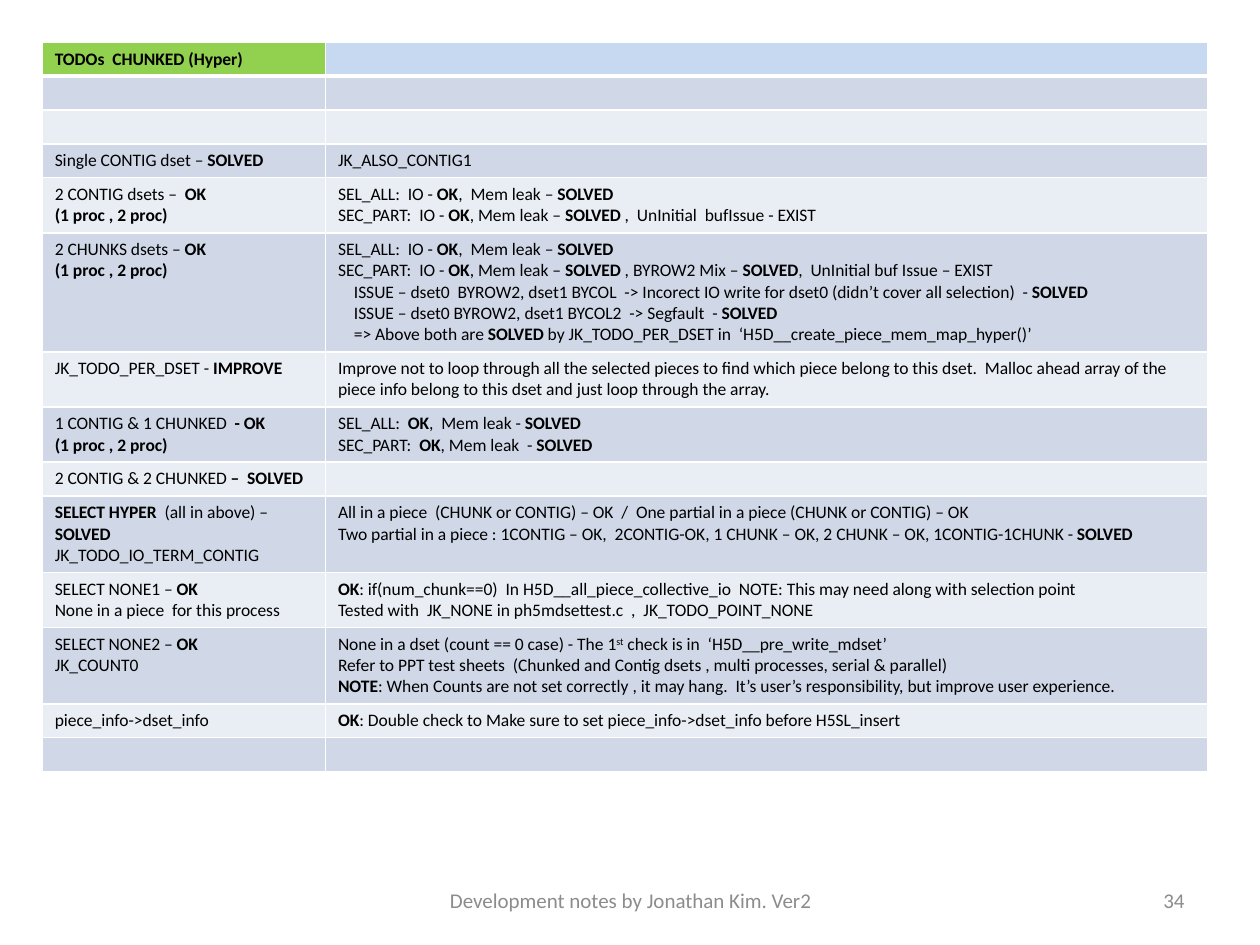
from dataclasses import dataclass

from lxml.etree import SubElement
from pptx import Presentation
from pptx.dml.color import RGBColor
from pptx.enum.text import MSO_ANCHOR, PP_ALIGN
from pptx.oxml.ns import qn
from pptx.util import Cm, Pt

COLORS = {
    "text": "000000",
    "footer": "8C8C8C",
    "border": "FFFFFF",
    "topic_head": "92D050",
    "notes_head": "C6D9F1",
    "band_dark": "D0D8E8",
    "band_light": "E9EDF4",
}
FONT = "Calibri"
COLUMN_WIDTHS = (5.71, 17.78)
LINE_HEIGHT = 0.43
ROW_PADDING = 0.25
INDENT = 0.32


@dataclass(frozen=True)
class Todo:
    """One row; *...* is bold, ^...^ is superscript, a leading > indents."""

    topic: str = ""
    notes: str = ""
    lines: int = 1


@dataclass(frozen=True)
class Footer:
    """A text in the bottom margin, with lengths in centimetres."""

    text: str
    left: float
    width: float
    align: PP_ALIGN


TODOS = [
    Todo("*TODOs  CHUNKED (Hyper)*"),
    Todo(),
    Todo(),
    Todo("Single CONTIG dset – *SOLVED*", "JK_ALSO_CONTIG1"),
    Todo(
        "2 CONTIG dsets –  *OK*\n*(1 proc , 2 proc)*",
        "SEL_ALL:  IO - *OK*,  Mem leak – *SOLVED*\n"
        "SEC_PART:  IO - *OK*, Mem leak – *SOLVED* ,  UnInitial  bufIssue - EXIST",
        2,
    ),
    Todo(
        "2 CHUNKS dsets – *OK*\n*(1 proc , 2 proc)*",
        "SEL_ALL:  IO - *OK*,  Mem leak – *SOLVED*\n"
        "SEC_PART:  IO - *OK*, Mem leak – *SOLVED* , BYROW2 Mix – *SOLVED*,"
        "  UnInitial buf Issue – EXIST\n"
        ">ISSUE – dset0  BYROW2, dset1 BYCOL  -> Incorect IO write for dset0"
        " (didn’t cover all selection)  - *SOLVED*\n"
        ">ISSUE – dset0 BYROW2, dset1 BYCOL2  -> Segfault  - *SOLVED*\n"
        ">=> Above both are *SOLVED* by JK_TODO_PER_DSET in"
        "  ‘H5D__create_piece_mem_map_hyper()’",
        5,
    ),
    Todo(
        "JK_TODO_PER_DSET - *IMPROVE*",
        "Improve not to loop through all the selected pieces to find which piece"
        " belong to this dset.  Malloc ahead array of the piece info belong to this"
        " dset and just loop through the array.",
        2,
    ),
    Todo(
        "1 CONTIG & 1 CHUNKED * - OK*\n*(1 proc , 2 proc)*",
        "SEL_ALL:  *OK*,  Mem leak - *SOLVED*\nSEC_PART:  *OK*, Mem leak  - *SOLVED*",
        2,
    ),
    Todo("2 CONTIG & 2 CHUNKED *–  SOLVED*"),
    Todo(
        "*SELECT HYPER*  (all in above) –  *SOLVED*\nJK_TODO_IO_TERM_CONTIG",
        "All in a piece  (CHUNK or CONTIG) – OK  /  One partial in a piece"
        " (CHUNK or CONTIG) – OK\n"
        "Two partial in a piece : 1CONTIG – OK,  2CONTIG-OK, 1 CHUNK – OK,"
        " 2 CHUNK – OK, 1CONTIG-1CHUNK - *SOLVED*",
        3,
    ),
    Todo(
        "SELECT NONE1 – *OK*\nNone in a piece  for this process",
        "*OK*: if(num_chunk==0)  In H5D__all_piece_collective_io  NOTE: This may"
        " need along with selection point\n"
        "Tested with  JK_NONE in ph5mdsettest.c  ,  JK_TODO_POINT_NONE",
        2,
    ),
    Todo(
        "SELECT NONE2 – *OK*\nJK_COUNT0",
        "None in a dset (count == 0 case) - The 1^st^ check is in"
        "  ‘H5D__pre_write_mdset’\n"
        "Refer to PPT test sheets  (Chunked and Contig dsets , multi processes,"
        " serial & parallel)\n"
        "*NOTE*: When Counts are not set correctly , it may hang.  It’s user’s"
        " responsibility, but improve user experience.",
        3,
    ),
    Todo(
        "piece_info->dset_info",
        "*OK*: Double check to Make sure to set piece_info->dset_info before H5SL_insert",
    ),
    Todo(),
]

FOOTERS = [
    Footer("Development notes by Jonathan Kim. Ver2", 8.69, 8.05, PP_ALIGN.CENTER),
    Footer("34", 18.21, 5.92, PP_ALIGN.RIGHT),
]


def style_font(font, size: float, color: str) -> None:
    """Set family, size and colour."""
    font.name = FONT
    font.size = Pt(size)
    font.color.rgb = RGBColor.from_string(COLORS[color])


def write_line(paragraph, line: str) -> None:
    """Write one marked-up line as formatted runs."""
    if line.startswith(">"):
        paragraph._p.get_or_add_pPr().set("marL", str(Cm(INDENT)))
        line = line[1:]
    for bold_index, section in enumerate(line.split("*")):
        for raised_index, words in enumerate(section.split("^")):
            if words:
                run = paragraph.add_run()
                run.text = words
                style_font(run.font, 10, "text")
                run.font.bold = bold_index % 2 == 1
                if raised_index % 2:
                    run.font._element.set("baseline", "30000")
    if not line:
        SubElement(paragraph._p, qn("a:endParaRPr"), sz="1000")


def draw_borders(cell, top: float, bottom: float) -> None:
    """Draw the four cell borders, with widths in points."""
    properties = cell._tc.get_or_add_tcPr()
    for side, width in (("L", 1), ("R", 1), ("T", top), ("B", bottom)):
        border = SubElement(properties, qn(f"a:ln{side}"), w=str(Pt(width)))
        fill = SubElement(border, qn("a:solidFill"))
        SubElement(fill, qn("a:srgbClr"), val=COLORS["border"])


def fill_cell(cell, text: str, row: int, color: str) -> None:
    """Give a cell its borders, fill and text."""
    draw_borders(cell, 3 if row == 1 else 1, 3 if row == 0 else 1)
    cell.fill.solid()
    cell.fill.fore_color.rgb = RGBColor.from_string(COLORS[color])
    for index, line in enumerate(text.split("\n")):
        frame = cell.text_frame
        write_line(frame.add_paragraph() if index else frame.paragraphs[0], line)


def add_todos(slide, todos: list[Todo]) -> None:
    """Add the banded table of tasks."""
    heights = [ROW_PADDING + LINE_HEIGHT * todo.lines for todo in todos]
    table = slide.shapes.add_table(
        len(todos), len(COLUMN_WIDTHS), Cm(0.85), Cm(0.85),
        Cm(sum(COLUMN_WIDTHS)), Cm(sum(heights)),
    ).table
    for column, width in zip(table.columns, COLUMN_WIDTHS):
        column.width = Cm(width)
    for row, (todo, height) in enumerate(zip(todos, heights)):
        table.rows[row].height = Cm(height)
        band = "band_dark" if row % 2 else "band_light"
        fills = (band, band) if row else ("topic_head", "notes_head")
        for column, text in enumerate((todo.topic, todo.notes)):
            fill_cell(table.cell(row, column), text, row, fills[column])


def add_footer(slide, footer: Footer) -> None:
    """Add one footer text."""
    frame = slide.shapes.add_textbox(
        Cm(footer.left), Cm(17.65), Cm(footer.width), Cm(1.01)
    ).text_frame
    frame.word_wrap = True
    frame.vertical_anchor = MSO_ANCHOR.MIDDLE
    frame.text = footer.text
    frame.paragraphs[0].alignment = footer.align
    style_font(frame.paragraphs[0].runs[0].font, 12, "footer")


def main() -> None:
    """Build and save the slide."""
    deck = Presentation()
    deck.slide_width, deck.slide_height = Cm(25.4), Cm(19.05)
    slide = deck.slides.add_slide(deck.slide_layouts[6])
    add_todos(slide, TODOS)
    for footer in FOOTERS:
        add_footer(slide, footer)
    deck.save("out.pptx")


if __name__ == "__main__":
    main()
